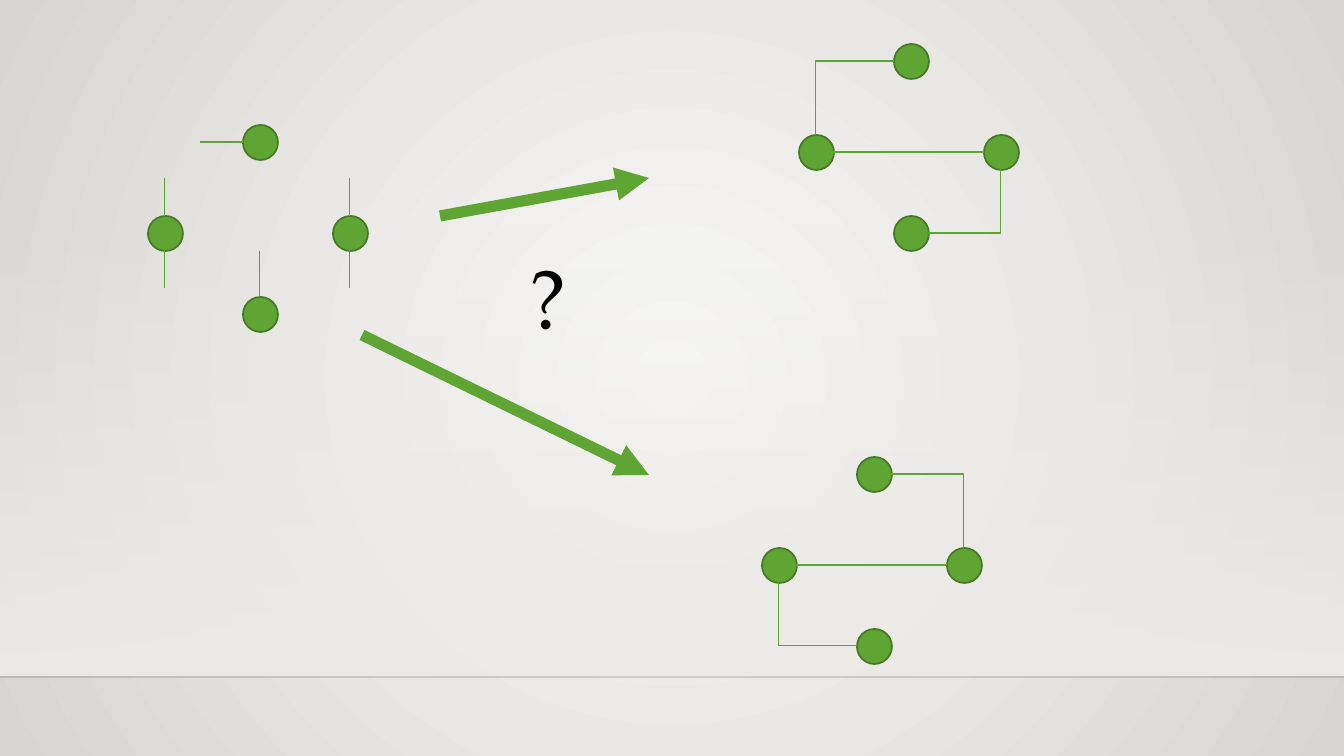
import lxml.etree
import pptx
import pptx.dml.color
import pptx.enum.dml
import pptx.enum.shapes
import pptx.enum.text
import pptx.oxml.ns
import pptx.util

SLIDE_WIDTH, SLIDE_HEIGHT = 1344, 756
EMU_PER_PX = 12192000 / SLIDE_WIDTH
GREEN, DARK_GREEN = "5FA534", "467A26"
RADIUS = 17
TOP, LEFT, BOTTOM, RIGHT = 0, 2, 4, 6
DIRECTIONS = {TOP: (0, -1), LEFT: (-1, 0), BOTTOM: (0, 1), RIGHT: (1, 0)}
NODE_OFFSETS = {"top": (95, -91), "bottom": (95, 81), "left": (0, 0), "right": (185, 0)}


def px(length):
    return pptx.util.Emu(round(length * EMU_PER_PX))


def rgb(value):
    return pptx.dml.color.RGBColor.from_string(value)


def add_xml(parent, tag, **attributes):
    return lxml.etree.SubElement(parent, pptx.oxml.ns.qn(tag), attributes)


def set_alpha(color, percent):
    add_xml(color, "a:alpha", val=str(percent * 1000))


def set_gradient(fill, colors):
    fill.gradient()
    for stop, color in zip(fill.gradient_stops, colors):
        stop.color.rgb = rgb(color)


def paint_background(slide):
    set_gradient(slide.background.fill, ["FAFAF9", "D7D5D2"])
    gradient = slide.element.xpath("p:cSld/p:bg//a:gradFill")[0]
    for linear in gradient.xpath("a:lin"):
        gradient.remove(linear)
    spread = add_xml(gradient, "a:path", path="circle")
    add_xml(spread, "a:fillToRect", l="50000", t="50000", r="50000", b="50000")


def add_floor(slide):
    floor = slide.shapes.add_shape(
        pptx.enum.shapes.MSO_SHAPE.RECTANGLE, 0, px(222), px(SLIDE_WIDTH), px(454))
    floor.shadow.inherit = False
    floor.line.fill.background()
    set_gradient(floor.fill, ["EDEBE7", "EDEBE7"])
    floor.fill.gradient_angle = 270
    set_alpha(floor.element.xpath(".//a:gs//a:srgbClr")[0], 0)
    horizon = add_line(slide, (0, 677), (SLIDE_WIDTH, 677), color="000001", width=1)
    set_alpha(horizon.element.xpath(".//a:ln//a:srgbClr")[0], 20)


def add_line(slide, start, end, color=GREEN, width=0.75, arrow=False, elbow=False):
    kinds = pptx.enum.shapes.MSO_CONNECTOR
    line = slide.shapes.add_connector(
        kinds.ELBOW if elbow else kinds.STRAIGHT, *map(px, (*start, *end)))
    line.line.color.rgb = rgb(color)
    line.line.width = pptx.util.Pt(width)
    properties = line.element.spPr
    if arrow:
        add_xml(properties.xpath("a:ln")[0], "a:tailEnd", type="triangle")
    if elbow:
        properties.xpath("a:prstGeom")[0].set("prst", "bentConnector2")
    add_xml(properties, "a:effectLst")
    return line


def add_node(slide, x, y):
    node = slide.shapes.add_shape(
        pptx.enum.shapes.MSO_SHAPE.OVAL,
        px(x - RADIUS), px(y - RADIUS), px(2 * RADIUS + 1), px(2 * RADIUS + 1))
    node.shadow.inherit = False
    node.fill.solid()
    node.fill.fore_color.rgb = rgb(GREEN)
    node.line.color.rgb = rgb(DARK_GREEN)
    node.line.width = pptx.util.Pt(1.25)
    return node, (x, y)


def add_nodes(slide, x, y):
    return {name: add_node(slide, x + dx, y + dy)
            for name, (dx, dy) in NODE_OFFSETS.items()}


def point_beside(center, side, distance=RADIUS):
    return tuple(c + distance * d for c, d in zip(center, DIRECTIONS[side]))


def add_stub(slide, node, side, length):
    center = node[1]
    add_line(slide, point_beside(center, side), point_beside(center, side, RADIUS + length))


def add_link(slide, start, start_side, end, end_side, elbow=True):
    link = add_line(slide, point_beside(start[1], start_side),
                    point_beside(end[1], end_side), elbow=elbow)
    ends = link.element.xpath("p:nvCxnSpPr/p:cNvCxnSpPr")[0]
    for tag, node, side in (("a:stCxn", start, start_side), ("a:endCxn", end, end_side)):
        add_xml(ends, tag, id=str(node[0].shape_id), idx=str(side))


def add_text(slide, text, left, top, width, height, size, font, color):
    box = slide.shapes.add_textbox(*map(px, (left, top, width, height)))
    box.text_frame.word_wrap = True
    box.text_frame.auto_size = pptx.enum.text.MSO_AUTO_SIZE.SHAPE_TO_FIT_TEXT
    run = box.text_frame.paragraphs[0].add_run()
    run.text = text
    run.font.size = pptx.util.Pt(size)
    run.font.name = font
    run.font.color.rgb = rgb(color)


def add_open_nodes(slide):
    nodes = add_nodes(slide, 165, 233)
    for name in ("left", "right"):
        for side in (TOP, BOTTOM):
            add_stub(slide, nodes[name], side, 38)
    add_stub(slide, nodes["top"], LEFT, 43)
    add_stub(slide, nodes["bottom"], TOP, 46)


def add_pairing(slide, x, y, links):
    nodes = add_nodes(slide, x, y)
    for start, start_side, end, end_side in links:
        add_link(slide, nodes[start], start_side, nodes[end], end_side)
    add_link(slide, nodes["left"], RIGHT, nodes["right"], LEFT, elbow=False)


def main():
    deck = pptx.Presentation()
    deck.slide_width, deck.slide_height = px(SLIDE_WIDTH), px(SLIDE_HEIGHT)
    slide = deck.slides.add_slide(deck.slide_layouts[6])
    paint_background(slide)
    add_floor(slide)
    add_open_nodes(slide)
    add_pairing(slide, 816, 152, [("top", LEFT, "left", TOP),
                                  ("bottom", RIGHT, "right", BOTTOM)])
    add_pairing(slide, 779, 565, [("top", RIGHT, "right", TOP),
                                  ("bottom", LEFT, "left", BOTTOM)])
    add_line(slide, (440, 216), (649, 178), width=8, arrow=True)
    add_line(slide, (362, 335), (649, 475), width=8, arrow=True)
    add_text(slide, "?", 520, 241, 180, 112, size=60,
             font="TeX Gyre Pagella", color="000000")
    deck.save("out.pptx")


if __name__ == "__main__":
    main()
